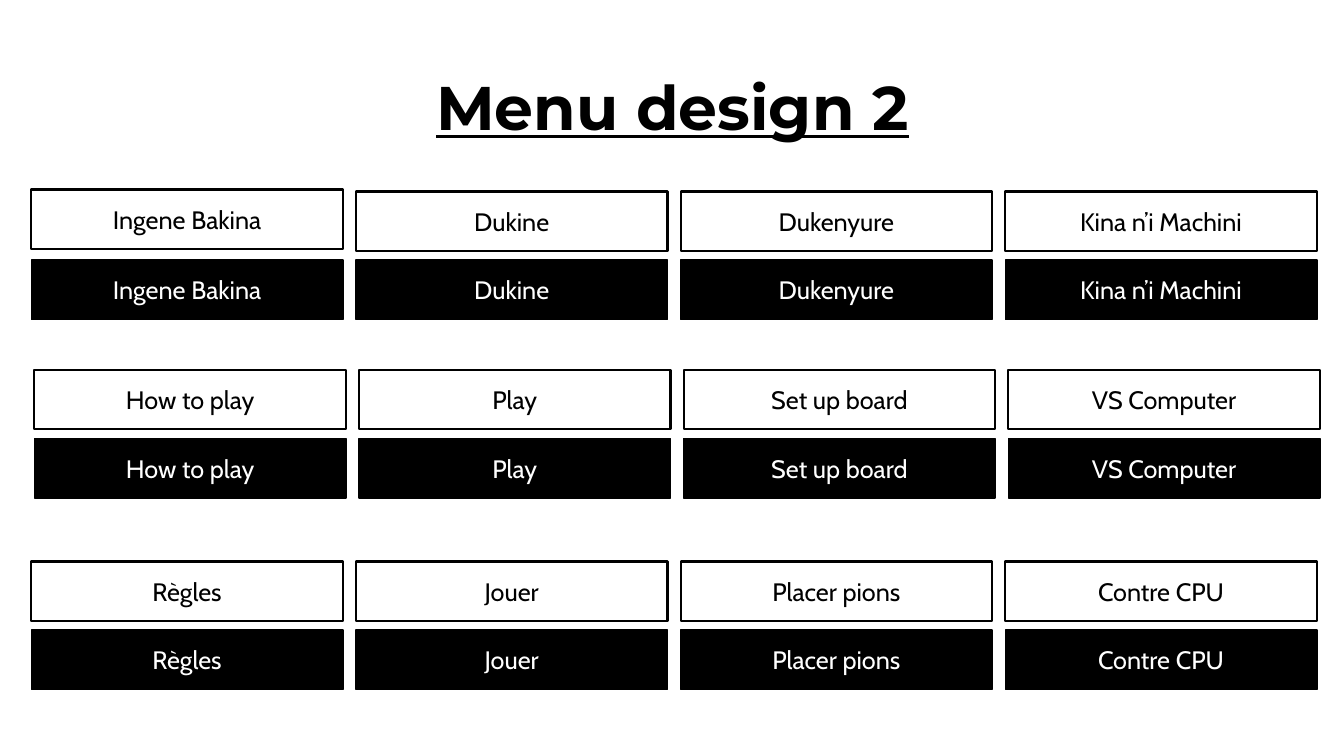
from pptx import Presentation
from pptx.dml.color import RGBColor
from pptx.enum import shapes, text
from pptx.util import Inches, Pt

BLACK = RGBColor(0x00, 0x00, 0x00)
WHITE = RGBColor(0xFF, 0xFF, 0xFF)

BUTTON_W, BUTTON_H = 3.09, 0.59
COLUMN_STEP, STATE_STEP = 3.22, 0.68

MENUS = [
    (0.31, 1.9, ["Ingene Bakina", "Dukine", "Dukenyure", "Kina n’i Machini"]),
    (0.34, 3.67, ["How to play", "Play", "Set up board", "VS Computer"]),
    (0.31, 5.57, ["Règles", "Jouer", "Placer pions", "Contre CPU"]),
]


def style_text(tf, size, font, color):
    tf.vertical_anchor = text.MSO_ANCHOR.MIDDLE
    p = tf.paragraphs[0]
    p.alignment = text.PP_ALIGN.CENTER
    p.font.size = Pt(size)
    p.font.name = font
    p.font.color.rgb = color
    return p


def add_title(s, label):
    sp = s.shapes.title
    sp.left, sp.top = Inches(0.92), Inches(0.37)
    sp.width, sp.height = Inches(11.5), Inches(1.45)
    sp.text_frame.text = label
    p = style_text(sp.text_frame, 44, "Montserrat", BLACK)
    p.line_spacing = 0.9
    p.font.bold = True
    p.font.underline = True


def add_button(s, label, left, top, fill, color, line_width):
    sp = s.shapes.add_shape(shapes.MSO_SHAPE.ROUNDED_RECTANGLE, Inches(left), Inches(top),
                            Inches(BUTTON_W), Inches(BUTTON_H))
    sp.adjustments[0] = 0
    sp.shadow.inherit = False
    sp.fill.solid()
    sp.fill.fore_color.rgb = fill
    sp.line.color.rgb = BLACK
    sp.line.width = Pt(line_width)
    sp.text_frame.text = label
    style_text(sp.text_frame, 18, "Cabin", color)
    return sp


def add_menu(s, left, top, labels):
    normal = []
    for i, label in enumerate(labels):
        x = left + i * COLUMN_STEP
        normal.append(add_button(s, label, x, top, WHITE, BLACK, 1.5))
        add_button(s, label, x, top + STATE_STEP, BLACK, WHITE, 1)
    return normal


def main():
    prs = Presentation()
    prs.slide_width, prs.slide_height = Inches(13.33), Inches(7.5)
    s = prs.slides.add_slide(prs.slide_layouts[5])
    add_title(s, "Menu design 2")
    menus = [add_menu(s, *menu) for menu in MENUS]
    menus[0][0].top = Inches(1.88)
    prs.save("out.pptx")


if __name__ == "__main__":
    main()
